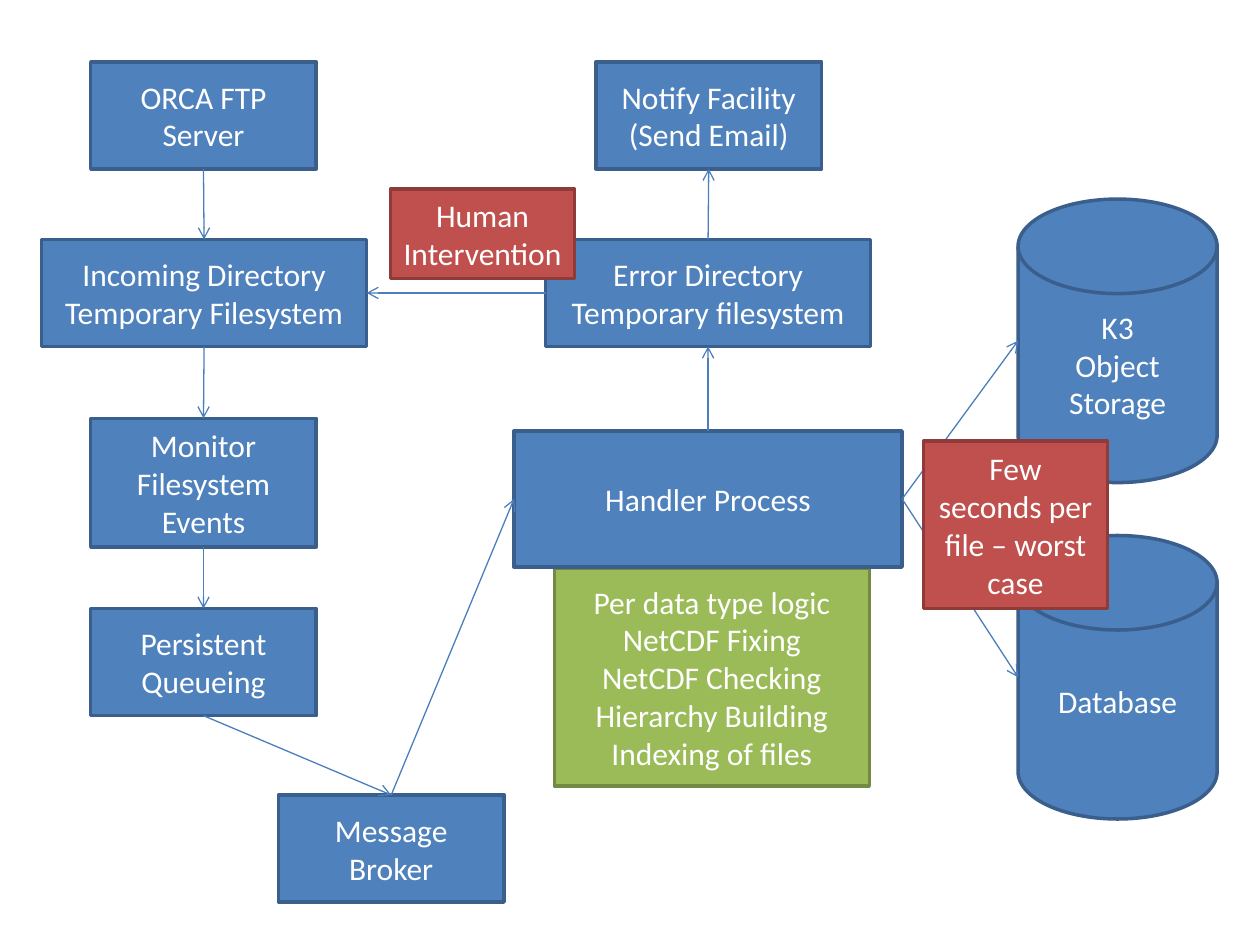
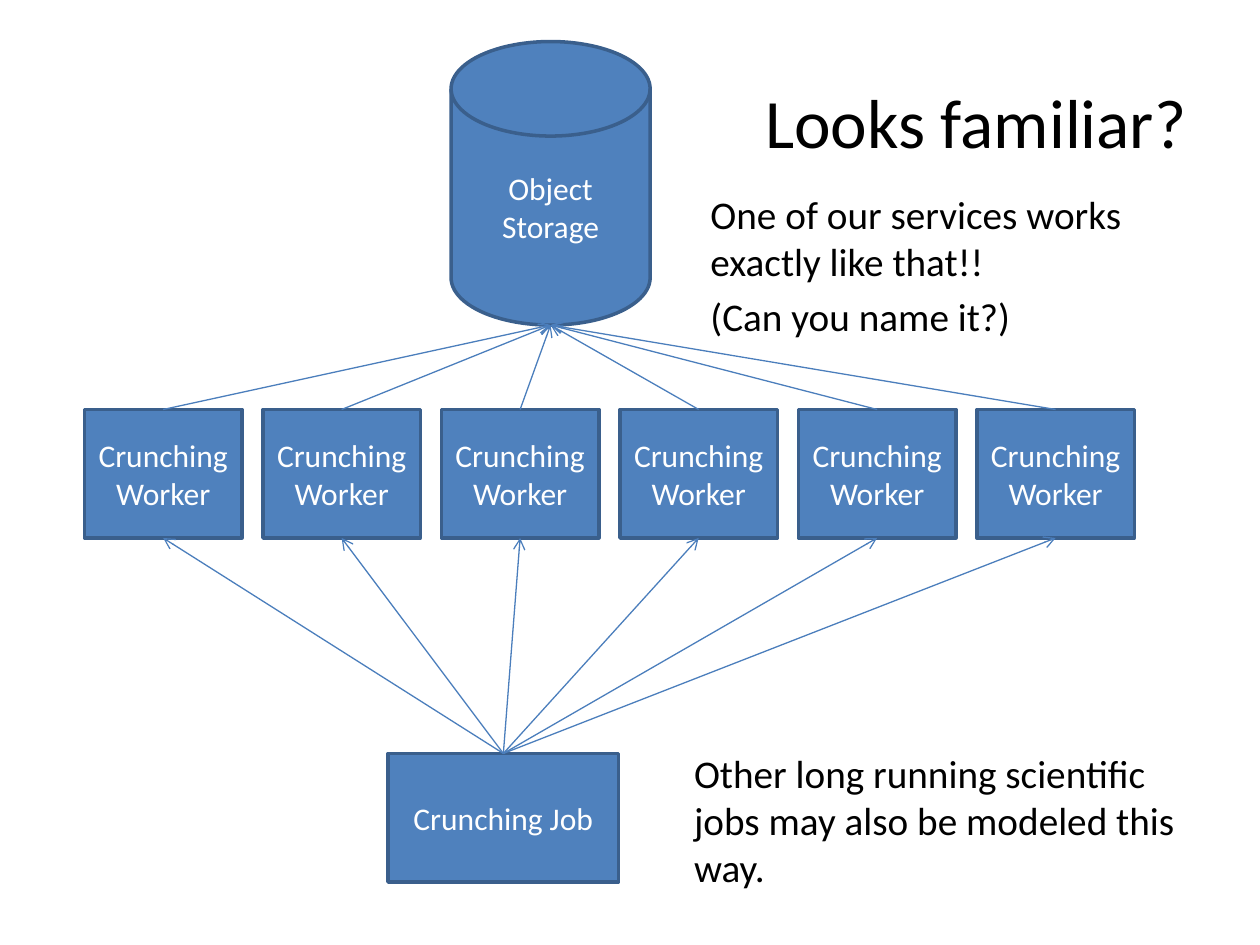
"""Build two slides that chart a file pipeline and a pool of workers."""
from dataclasses import dataclass

from pptx import Presentation
from pptx.dml.color import RGBColor
from pptx.enum.shapes import MSO_CONNECTOR, MSO_SHAPE
from pptx.enum.text import MSO_ANCHOR, PP_ALIGN
from pptx.oxml import parse_xml
from pptx.oxml.ns import nsdecls, qn
from pptx.shapes.autoshape import Shape
from pptx.slide import Slide
from pptx.text.text import TextFrame
from pptx.util import Inches, Pt

FONT = "Calibri"
WHITE = RGBColor(0xFF, 0xFF, 0xFF)
BLACK = RGBColor(0x00, 0x00, 0x00)
WIRE = RGBColor(0x4B, 0x7E, 0xBC)
TOP, LEFT, BOTTOM, RIGHT = range(4)


@dataclass(frozen=True)
class Skin:
    """Fill and edge colours of a node."""
    fill: RGBColor
    edge: RGBColor


BLUE = Skin(RGBColor(0x4F, 0x81, 0xBD), RGBColor(0x3A, 0x5F, 0x8C))
GREEN = Skin(RGBColor(0x9B, 0xBB, 0x59), RGBColor(0x73, 0x8A, 0x42))
RED = Skin(RGBColor(0xC0, 0x50, 0x4D), RGBColor(0x8E, 0x3B, 0x39))


@dataclass(frozen=True)
class Node:
    """A labelled box or disk, measured in inches."""
    text: str
    left: float
    top: float
    width: float = 1.79
    height: float = 0.85
    skin: Skin = BLUE
    kind: MSO_SHAPE = MSO_SHAPE.RECTANGLE


@dataclass(frozen=True)
class Note:
    """A plain text box, measured in inches."""
    text: str
    left: float
    top: float
    width: float = 4.29
    height: float = 1.1
    size: float = 22.4
    before: float = 4.5
    align: PP_ALIGN = PP_ALIGN.LEFT
    anchor: MSO_ANCHOR = MSO_ANCHOR.TOP


@dataclass(frozen=True)
class Link:
    """An arrow between the sides of two named nodes."""
    start: str
    out: int
    end: str
    into: int


def disk(text: str, left: float, top: float) -> Node:
    """Describe a storage disk."""
    return Node(text, left, top, 1.58, 2.25, kind=MSO_SHAPE.FLOWCHART_MAGNETIC_DISK)


def write(frame: TextFrame, text: str, size: float, color: RGBColor,
          align: PP_ALIGN, anchor: MSO_ANCHOR, before: float = 0) -> None:
    """Fill a frame with one paragraph per line of text."""
    frame.word_wrap = True
    frame.vertical_anchor = anchor
    frame.text = text
    for par in frame.paragraphs:
        par.alignment = align
        par.space_before = Pt(before)
        par.font.name = FONT
        par.font.size = Pt(size)
        par.font.color.rgb = color


def draw_node(slide: Slide, node: Node) -> Shape:
    """Draw a node and return its shape."""
    shape = slide.shapes.add_shape(node.kind, Inches(node.left), Inches(node.top),
                                   Inches(node.width), Inches(node.height))
    shape.shadow.inherit = False
    shape.fill.solid()
    shape.fill.fore_color.rgb = node.skin.fill
    shape.line.color.rgb = node.skin.edge
    shape.line.width = Pt(2)
    write(shape.text_frame, node.text, 18, WHITE, PP_ALIGN.CENTER, MSO_ANCHOR.MIDDLE)
    return shape


def draw_note(slide: Slide, note: Note) -> None:
    """Draw a text box."""
    box = slide.shapes.add_textbox(Inches(note.left), Inches(note.top),
                                   Inches(note.width), Inches(note.height))
    write(box.text_frame, note.text, note.size, BLACK, note.align, note.anchor, note.before)


def dock(shape: Shape, side: int) -> tuple[int, int]:
    """Return the middle of a side."""
    across = {LEFT: 0, RIGHT: shape.width}.get(side, shape.width // 2)
    down = {TOP: 0, BOTTOM: shape.height}.get(side, shape.height // 2)
    return shape.left + across, shape.top + down


def draw_link(slide: Slide, start: Shape, out: int, end: Shape, into: int) -> None:
    """Draw an arrow, joined to each end that is a rectangle."""
    wire = slide.shapes.add_connector(MSO_CONNECTOR.STRAIGHT, *dock(start, out), *dock(end, into))
    if start.auto_shape_type == MSO_SHAPE.RECTANGLE:
        wire.begin_connect(start, out)
    if end.auto_shape_type == MSO_SHAPE.RECTANGLE:
        wire.end_connect(end, into)
    wire.line.color.rgb = WIRE
    wire.line.width = Pt(0.75)
    props = wire.element.spPr
    props.find(qn("a:ln")).append(parse_xml(f'<a:tailEnd {nsdecls("a")} type="arrow"/>'))
    props.append(parse_xml(f'<a:effectLst {nsdecls("a")}/>'))


FLOW = {
    "base": disk("Database", 8.08, 4.25),
    "logic": Node("Per data type logic\nNetCDF Fixing\nNetCDF Checking\n"
                  "Hierarchy Building\nIndexing of files", 4.4, 4.51, 2.5, 1.73, GREEN),
    "store": disk("K3\nObject Storage", 8.08, 1.58),
    "server": Node("ORCA FTP Server", 0.72, 0.49),
    "inbox": Node("Incoming Directory\nTemporary Filesystem", 0.33, 1.9, 2.58),
    "watch": Node("Monitor Filesystem\nEvents", 0.72, 3.32, height=1.02),
    "queue": Node("Persistent\nQueueing", 0.72, 4.83),
    "broker": Node("Message Broker", 2.21, 6.31),
    "error": Node("Error Directory\nTemporary filesystem", 4.33, 1.9, 2.58),
    "notify": Node("Notify Facility\n(Send Email)", 4.73, 0.49),
    "handler": Node("Handler Process", 4.08, 3.42, 3.08, 1.08),
}
LINKS = (
    Link("server", BOTTOM, "inbox", TOP),
    Link("inbox", BOTTOM, "watch", TOP),
    Link("watch", BOTTOM, "queue", TOP),
    Link("queue", BOTTOM, "broker", TOP),
    Link("broker", TOP, "handler", LEFT),
    Link("handler", TOP, "error", BOTTOM),
    Link("handler", RIGHT, "store", LEFT),
    Link("handler", RIGHT, "base", LEFT),
    Link("error", LEFT, "inbox", RIGHT),
    Link("error", TOP, "notify", BOTTOM),
)
ALERTS = (
    Node("Human Intervention", 3.1, 1.5, 1.46, 0.71, RED),
    Node("Few seconds per file – worst case", 7.33, 3.5, 1.46, 1.33, RED),
)
NOTES = (
    Note("Looks familiar?", 5.83, 0.33, 3.83, 1.25, 39.6, 0,
         PP_ALIGN.CENTER, MSO_ANCHOR.MIDDLE),
    Note("One of our services works exactly like that!!\n(Can you name it?)", 5.54, 1.46),
    Note("Other long running scientific jobs may also be modeled this way.", 5.41, 5.9),
)
CREW = 6
PITCH = 8.5 / CREW


def draw_flow(slide: Slide) -> None:
    """Draw the file pipeline."""
    shapes = {name: draw_node(slide, node) for name, node in FLOW.items()}
    for link in LINKS:
        draw_link(slide, shapes[link.start], link.out, shapes[link.end], link.into)
    for alert in ALERTS:
        draw_node(slide, alert)


def draw_crew(slide: Slide) -> None:
    """Draw the job, its workers and their storage."""
    store = draw_node(slide, disk("Object Storage", 3.58, 0.33))
    job = draw_node(slide, Node("Crunching Job", 3.08, 5.98, 1.83, 1.02))
    crew = [draw_node(slide, Node("Crunching Worker", 0.67 + i * PITCH, 3.25, 1.25, 1.02))
            for i in range(CREW)]
    for worker in crew:
        draw_link(slide, job, TOP, worker, BOTTOM)
        draw_link(slide, worker, TOP, store, BOTTOM)
    for note in NOTES:
        draw_note(slide, note)


def main() -> None:
    """Build and save the deck."""
    deck = Presentation()
    deck.slide_width, deck.slide_height = Inches(10), Inches(7.5)
    for draw in (draw_flow, draw_crew):
        draw(deck.slides.add_slide(deck.slide_layouts[6]))
    deck.save("out.pptx")


if __name__ == "__main__":
    main()
